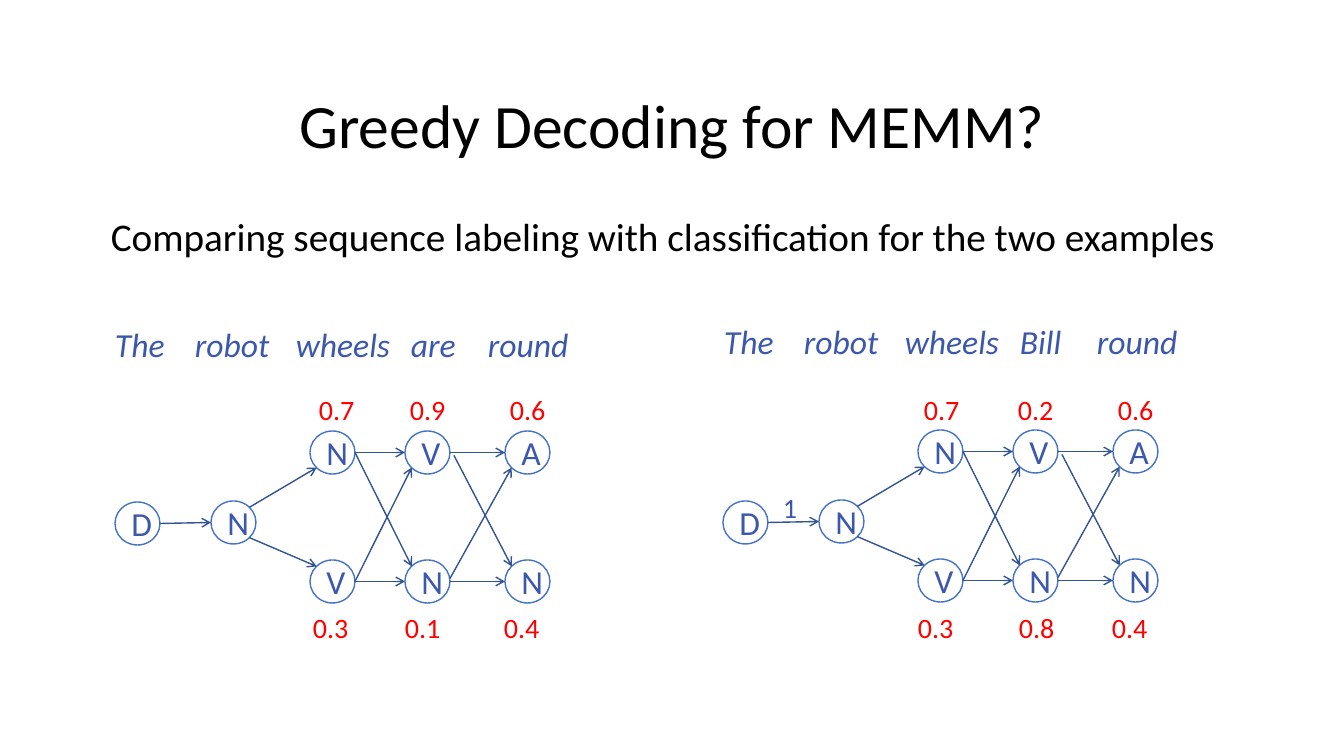
from lxml import etree
from pptx import Presentation
from pptx.dml.color import RGBColor
from pptx.enum.shapes import MSO_CONNECTOR, MSO_SHAPE
from pptx.enum.text import MSO_ANCHOR, MSO_AUTO_SIZE, PP_ALIGN
from pptx.oxml.ns import qn
from pptx.util import Pt

STRAIGHT, OVAL = MSO_CONNECTOR.STRAIGHT, MSO_SHAPE.OVAL
MIDDLE, FIT_TEXT = MSO_ANCHOR.MIDDLE, MSO_AUTO_SIZE.SHAPE_TO_FIT_TEXT
LEFT, CENTER = PP_ALIGN.LEFT, PP_ALIGN.CENTER

TITLE = "Greedy Decoding for MEMM?"
SUBTITLE = "Comparing sequence labeling with classification for the two examples"

# Each score is (text, left)
EXAMPLES = [
    {
        "words": ["The", "robot", "wheels", "are", "round"],
        "words_at": (105, 319),
        "graph_shift": (0, 0),
        "upper_scores": [("0.7", 309), ("0.9", 400), ("0.6", 500)],
        "lower_scores": [("0.3", 303), ("0.1", 395), ("0.4", 494)],
        "first_arrow_label": None,
    },
    {
        "words": ["The", "robot", "wheels", "Bill", "round"],
        "words_at": (714, 316),
        "graph_shift": (608, -1),
        "upper_scores": [("0.7", 914), ("0.2", 1008), ("0.6", 1108)],
        "lower_scores": [("0.3", 908), ("0.8", 1009), ("0.4", 1102)],
        "first_arrow_label": "1",
    },
]
WORD_OFFSETS = [0, 80, 181, 296, 373]
WORD_WIDTHS = [73, 98, 118, 70, 104]

# name: (tag, left, top)
NODES = {
    "start": ("D", 115, 502),
    "second": ("N", 211, 501),
    "upper 3": ("N", 310, 431),
    "lower 3": ("V", 310, 560),
    "upper 4": ("V", 405, 431),
    "lower 4": ("N", 405, 560),
    "upper 5": ("A", 505, 431),
    "lower 5": ("N", 505, 560),
}
# (from node, site, to node, site, shift of the starting point)
ARROWS = [
    ("start", "right", "second", "left", (0, 0)),
    ("second", "upper right", "upper 3", "lower left", (0, 0)),
    ("second", "lower right", "lower 3", "upper left", (0, 0)),
    ("upper 3", "right", "upper 4", "left", (0, 0)),
    ("lower 3", "right", "lower 4", "left", (0, 0)),
    ("upper 4", "right", "upper 5", "left", (0, 0)),
    ("lower 4", "right", "lower 5", "left", (0, 0)),
    ("upper 3", "right", "lower 4", "upper left", (0, 0)),
    ("lower 3", "right", "upper 4", "lower left", (0, 0)),
    ("upper 4", "right", "lower 5", "upper left", (4, 3)),
    ("lower 4", "right", "upper 5", "lower left", (0, -3)),
]
# Fractions of the node's width and height
SITES = {
    "left": (0, 0.5),
    "right": (1, 0.5),
    "upper left": (0.15, 0.15),
    "upper right": (0.85, 0.15),
    "lower left": (0.15, 0.85),
    "lower right": (0.85, 0.85),
}
NODE_WIDTH, NODE_HEIGHT = 45, 43
SLIDE_WIDTH, SLIDE_HEIGHT = 1344, 756
FONT = "Calibri"
BLACK, WHITE, RED = "000000", "FFFFFF", "FF0000"
TEXT_BLUE, NODE_BLUE, ARROW_BLUE = "3C58AD", "4472C4", "325491"


def px(length):
    """Turn pixels (100.8 to the inch) into EMU."""
    return round(length * 914400 / 100.8)


def color(hex_string):
    return RGBColor.from_string(hex_string)


def write(shape, text, size=24, hex_color=TEXT_BLUE, italic=False, align=LEFT, spacing=None):
    paragraph = shape.text_frame.paragraphs[0]
    paragraph.alignment = align
    paragraph.line_spacing = spacing
    run = paragraph.add_run()
    run.text = text
    run.font.name = FONT
    run.font.size = Pt(size)
    run.font.italic = italic
    run.font.color.rgb = color(hex_color)


def add_label(shapes, text, left, top, width, height, **text_format):
    """Add a one-line text box that fits its text."""
    box = shapes.add_textbox(px(left), px(top), px(width), px(height))
    box.text_frame.word_wrap = False
    box.text_frame.auto_size = FIT_TEXT
    write(box, text, **text_format)


def add_node(shapes, tag, left, top):
    node = shapes.add_shape(OVAL, px(left), px(top), px(NODE_WIDTH), px(NODE_HEIGHT))
    node.shadow.inherit = False
    node.fill.solid()
    node.fill.fore_color.rgb = color(WHITE)
    node.line.color.rgb = color(NODE_BLUE)
    node.line.width = Pt(1)
    node.text_frame.vertical_anchor = MIDDLE
    write(node, tag, align=CENTER)


def add_arrow(shapes, start, end):
    arrow = shapes.add_connector(STRAIGHT, *map(px, start + end))
    arrow.line.color.rgb = color(ARROW_BLUE)
    arrow.line.width = Pt(1)
    etree.SubElement(arrow.line._get_or_add_ln(), qn("a:tailEnd"), type="arrow")
    etree.SubElement(arrow._element.spPr, qn("a:effectLst"))


def site_point(node_name, site, shift):
    _, left, top = NODES[node_name]
    across, down = SITES[site]
    return (left + across * NODE_WIDTH + shift[0], top + down * NODE_HEIGHT + shift[1])


def add_words(slide, words, left, top):
    group = slide.shapes.add_group_shape()
    for word, offset, width in zip(words, WORD_OFFSETS, WORD_WIDTHS):
        add_label(group.shapes, word, left + offset, top, width, 50, italic=True)


def add_graph(slide, shift, first_arrow_label):
    shift_x, shift_y = shift
    shapes = slide.shapes.add_group_shape().shapes
    for tag, left, top in NODES.values():
        add_node(shapes, tag, left + shift_x, top + shift_y)
    for source, source_site, target, target_site, (nudge_x, nudge_y) in ARROWS:
        start = site_point(source, source_site, (shift_x + nudge_x, shift_y + nudge_y))
        add_arrow(shapes, start, site_point(target, target_site, shift))
    if first_arrow_label:
        add_label(shapes, first_arrow_label, 165 + shift_x, 487 + shift_y, 35, 44, size=20)


def main():
    presentation = Presentation()
    presentation.slide_width = px(SLIDE_WIDTH)
    presentation.slide_height = px(SLIDE_HEIGHT)
    slide = presentation.slides.add_slide(presentation.slide_layouts[6])

    title = slide.shapes.add_textbox(px(93), px(71), px(1159), px(116))
    title.text_frame.word_wrap = True
    title.text_frame.vertical_anchor = MIDDLE
    write(title, TITLE, size=44, hex_color=BLACK, align=CENTER, spacing=0.9)
    add_label(slide.shapes, SUBTITLE, 101, 207, 1136, 57, size=28, hex_color=BLACK)

    for example in EXAMPLES:
        add_words(slide, example["words"], *example["words_at"])
        add_graph(slide, example["graph_shift"], example["first_arrow_label"])
        for row, top in (("upper_scores", 388), ("lower_scores", 606)):
            for score, left in example[row]:
                add_label(slide.shapes, score, left, top, 56, 44, size=20, hex_color=RED)

    presentation.save("out.pptx")


if __name__ == "__main__":
    main()
